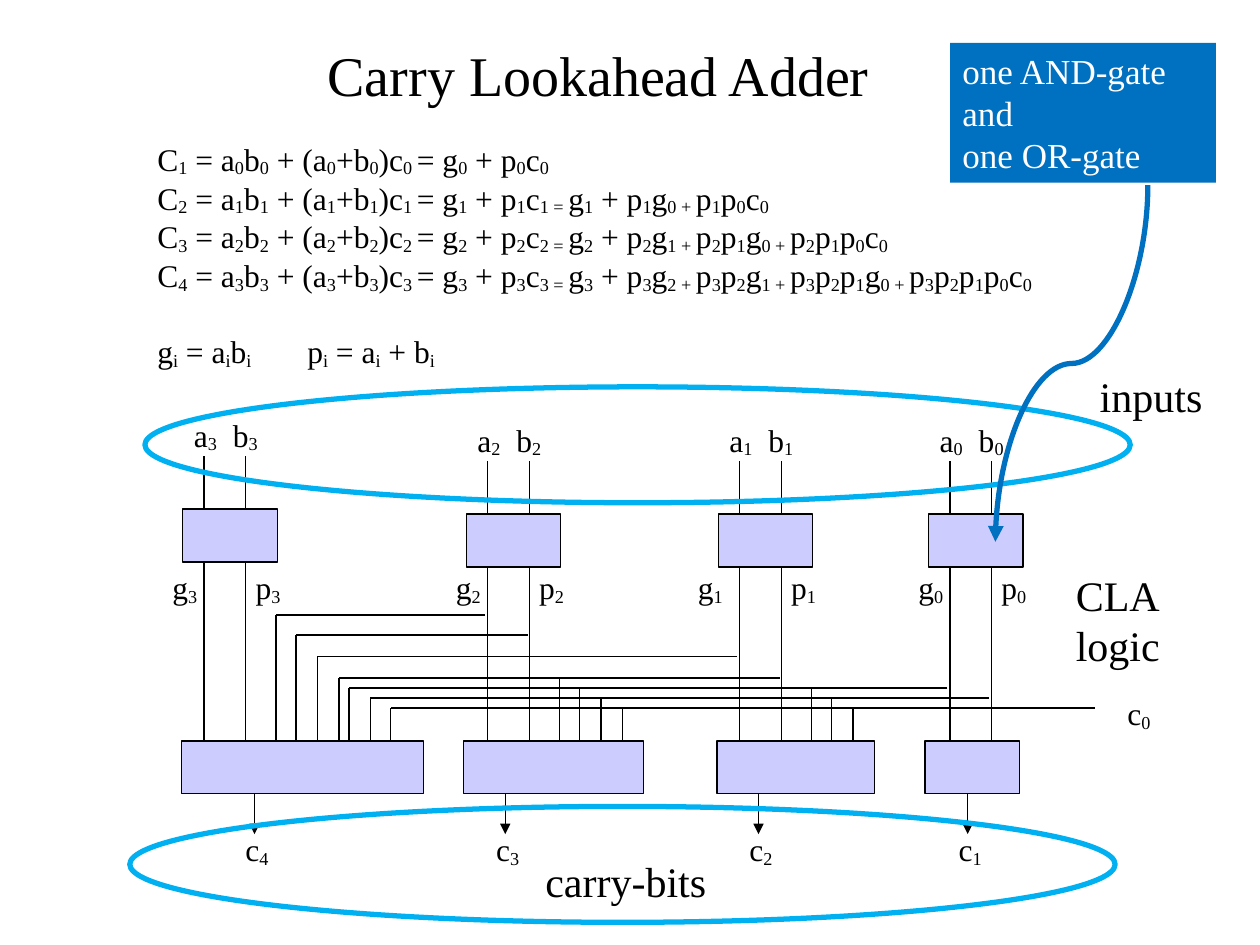
from dataclasses import dataclass
from typing import NamedTuple, Optional

import lxml.etree
import pptx
import pptx.dml.color
import pptx.enum.shapes
import pptx.enum.text
import pptx.oxml.ns
import pptx.util

Inches = pptx.util.Inches
Pt = pptx.util.Pt
Color = pptx.dml.color.RGBColor
Shape = pptx.enum.shapes.MSO_SHAPE
Connector = pptx.enum.shapes.MSO_CONNECTOR
Align = pptx.enum.text.PP_ALIGN
Anchor = pptx.enum.text.MSO_ANCHOR
qn = pptx.oxml.ns.qn


@dataclass(frozen=True)
class Theme:
    font: str = "Times New Roman"
    ink: Color = Color(0x00, 0x00, 0x00)
    paper: Color = Color(0xFF, 0xFF, 0xFF)
    block: Color = Color(0xCC, 0xCC, 0xFF)
    ring: Color = Color(0x00, 0xB0, 0xF0)
    callout: Color = Color(0x00, 0x70, 0xC0)
    title: float = 32
    heading: float = 24
    note: float = 20
    body: float = 18
    thin: float = 0.75
    thick: float = 3
    subscript: str = "-12000"


class Box(NamedTuple):
    left: float
    top: float
    width: float
    height: float


class BitSlice(NamedTuple):
    bit: int
    left: float
    top: float
    generate_left: float


class CarryBlock(NamedTuple):
    carry: int
    left: float
    width: float
    output: float


class Bus(NamedTuple):
    source: float
    y: float
    drops: tuple[float, ...]


THEME = Theme()
BLOCK_WIDTH, BLOCK_HEIGHT = 0.75, 0.42
WIRE_OFFSETS = (0.17, 0.5)
CARRY_TOP = 5.88
OUTPUT_END = 6.62

EQUATIONS = [
    "C_1_ = a_0_b_0_ + (a_0_+b_0_)c_0 _= g_0_ + p_0_c_0",
    "C_2_ = a_1_b_1_ + (a_1_+b_1_)c_1 _= g_1_ + p_1_c_1 = _g_1_ + p_1_g_0 + _p_1_p_0_c_0",
    "C_3_ = a_2_b_2_ + (a_2_+b_2_)c_2 _= g_2_ + p_2_c_2 = _g_2_ + p_2_g_1 + _p_2_p_1_g_0 + _"
    "p_2_p_1_p_0_c_0",
    "C_4_ = a_3_b_3_ + (a_3_+b_3_)c_3 _= g_3_ + p_3_c_3 = _g_3_ + p_3_g_2 + _p_3_p_2_g_1 + _"
    "p_3_p_2_p_1_g_0 + _p_3_p_2_p_1_p_0_c_0",
    "g_i_ = a_i_b_i_\tp_i_ = a_i_ + b_i",
]
BIT_SLICES = [
    BitSlice(3, 1.45, 4.04, 1.27),
    BitSlice(2, 3.7, 4.08, 3.52),
    BitSlice(1, 5.7, 4.08, 5.44),
    BitSlice(0, 7.37, 4.08, 7.19),
]
CARRY_BLOCKS = [
    CarryBlock(4, 1.44, 1.92, 2.02),
    CarryBlock(3, 3.68, 1.43, 4.01),
    CarryBlock(2, 5.69, 1.25, 6.02),
    CarryBlock(1, 7.34, 0.75, 7.68),
]
BUSES = [
    Bus(3.85, 4.88, (2.19,)),
    Bus(4.19, 5.04, (2.35,)),
    Bus(5.85, 5.21, (2.52,)),
    Bus(6.19, 5.38, (2.69, 4.44)),
    Bus(7.52, 5.46, (2.77, 4.6, 6.44)),
    Bus(7.85, 5.54, (2.94, 4.77, 6.6)),
    Bus(8.69, 5.62, (3.1, 4.94, 6.77)),
]


def write_lines(frame, lines: list[str], size: float, color: Color = THEME.ink,
                tab: Optional[float] = None) -> None:
    for index, line in enumerate(lines):
        paragraph = frame.paragraphs[0] if index == 0 else frame.add_paragraph()
        for position, piece in enumerate(line.split("_")):
            if piece:
                run = paragraph.add_run()
                run.text = piece
                if position % 2:
                    run.font.size = Pt(size)
                    run.font._element.set("baseline", THEME.subscript)
        paragraph.alignment = Align.LEFT
        if tab is not None and "\t" in line:
            stops = lxml.etree.SubElement(paragraph._p.get_or_add_pPr(), qn("a:tabLst"))
            lxml.etree.SubElement(stops, qn("a:tab"), pos=str(Inches(tab)), algn="l")
        paragraph.font.name = THEME.font
        paragraph.font.size = Pt(size)
        paragraph.font.color.rgb = color


def add_text(slide, box: Box, lines: list[str], size: float, wrap: bool = True,
             tab: Optional[float] = None):
    frame = slide.shapes.add_textbox(*map(Inches, box)).text_frame
    frame.word_wrap = wrap
    write_lines(frame, lines, size, tab=tab)
    return frame


def add_label(slide, left: float, top: float, text: str, width: float = 0.4,
              tab: Optional[float] = None) -> None:
    add_text(slide, Box(left, top, width, 0.4), [text], THEME.body, wrap=False, tab=tab)


def add_block(slide, box: Box, fill: Color, line: Optional[Color]):
    block = slide.shapes.add_shape(Shape.RECTANGLE, *map(Inches, box))
    block.shadow.inherit = False
    block.fill.solid()
    block.fill.fore_color.rgb = fill
    if line is None:
        block.line.fill.background()
    else:
        block.line.color.rgb = line
        block.line.width = Pt(THEME.thin)
    return block


def add_ring(slide, box: Box) -> None:
    ring = slide.shapes.add_shape(Shape.OVAL, *map(Inches, box))
    ring.shadow.inherit = False
    ring.fill.background()
    ring.line.color.rgb = THEME.ring
    ring.line.width = Pt(THEME.thick)


def add_wire(slide, x1: float, y1: float, x2: float, y2: float, arrow: bool = False,
             kind=Connector.STRAIGHT, color: Color = THEME.ink, width: float = THEME.thin):
    wire = slide.shapes.add_connector(kind, *map(Inches, (x1, y1, x2, y2)))
    wire.line.color.rgb = color
    wire.line.width = Pt(width)
    if arrow:
        lxml.etree.SubElement(wire.line._get_or_add_ln(), qn("a:tailEnd"), type="triangle")
    lxml.etree.SubElement(wire._element.spPr, qn("a:effectLst"))
    return wire


def draw_bit_slice(slide, bit_slice: BitSlice) -> None:
    bit, left, top, generate_left = bit_slice
    bottom = top + BLOCK_HEIGHT
    add_block(slide, Box(left, top, BLOCK_WIDTH, BLOCK_HEIGHT), THEME.block, THEME.ink)
    for offset in WIRE_OFFSETS:
        add_wire(slide, left + offset, top - 0.42, left + offset, top)
        add_wire(slide, left + offset, bottom, left + offset, CARRY_TOP)
    add_label(slide, left - 0.01, top - 0.79, f"a_{bit}_\tb_{bit}", width=0.73, tab=0.31)
    add_label(slide, generate_left, 4.46, f"g_{bit}")
    add_label(slide, left + 0.48, 4.46, f"p_{bit}")


def draw_carry_block(slide, block: CarryBlock) -> None:
    add_block(slide, Box(block.left, CARRY_TOP, block.width, BLOCK_HEIGHT), THEME.block, THEME.ink)
    add_wire(slide, block.output, CARRY_TOP + BLOCK_HEIGHT, block.output, OUTPUT_END, arrow=True)
    add_label(slide, block.output - 0.17, 6.54, f"c_{block.carry}")


def draw_bus(slide, bus: Bus) -> None:
    add_wire(slide, bus.source, bus.y, bus.drops[0], bus.y)
    for drop in bus.drops:
        add_wire(slide, drop, bus.y, drop, CARRY_TOP)


def main() -> None:
    deck = pptx.Presentation()
    deck.slide_width, deck.slide_height = Inches(10), Inches(7.5)
    slide = deck.slides.add_slide(deck.slide_layouts[6])

    title = add_text(slide, Box(0.75, 0.17, 8, 0.83), ["Carry Lookahead Adder"], THEME.title)
    title.vertical_anchor = Anchor.MIDDLE
    title.paragraphs[0].alignment = Align.CENTER
    equations = add_text(slide, Box(1.15, 1.06, 7.85, 1.9), EQUATIONS, THEME.body, tab=1.19)
    equations.paragraphs[-1].space_before = Pt(21)

    for bit_slice in BIT_SLICES:
        draw_bit_slice(slide, bit_slice)
    for block in CARRY_BLOCKS:
        draw_carry_block(slide, block)
    for bus in BUSES:
        draw_bus(slide, bus)
    add_label(slide, 8.85, 5.46, "c_0")

    add_ring(slide, Box(1.15, 3.07, 7.82, 0.92))
    add_text(slide, Box(4.23, 6.74, 2.36, 0.5), ["carry-bits"], THEME.heading)
    add_text(slide, Box(8.44, 4.47, 1.37, 0.91), ["CLA logic"], THEME.heading)
    add_text(slide, Box(8.63, 2.89, 1.26, 0.5), ["inputs"], THEME.heading)
    add_ring(slide, Box(1.03, 6.4, 7.82, 0.92))

    gates = add_block(slide, Box(7.54, 0.34, 2.11, 1.11), THEME.callout, None)
    gates.text_frame.word_wrap = True
    gates.text_frame.vertical_anchor = Anchor.TOP
    write_lines(gates.text_frame, ["one AND-gate and", "one OR-gate"], THEME.note, THEME.paper)
    pointer = add_wire(slide, 7.09, 2.28, 9.92, 3.49, arrow=True, kind=Connector.CURVE,
                       color=THEME.callout, width=THEME.thick)
    pointer._element.spPr.find(qn("a:xfrm")).set("rot", "5400000")

    deck.save("out.pptx")


if __name__ == "__main__":
    main()
